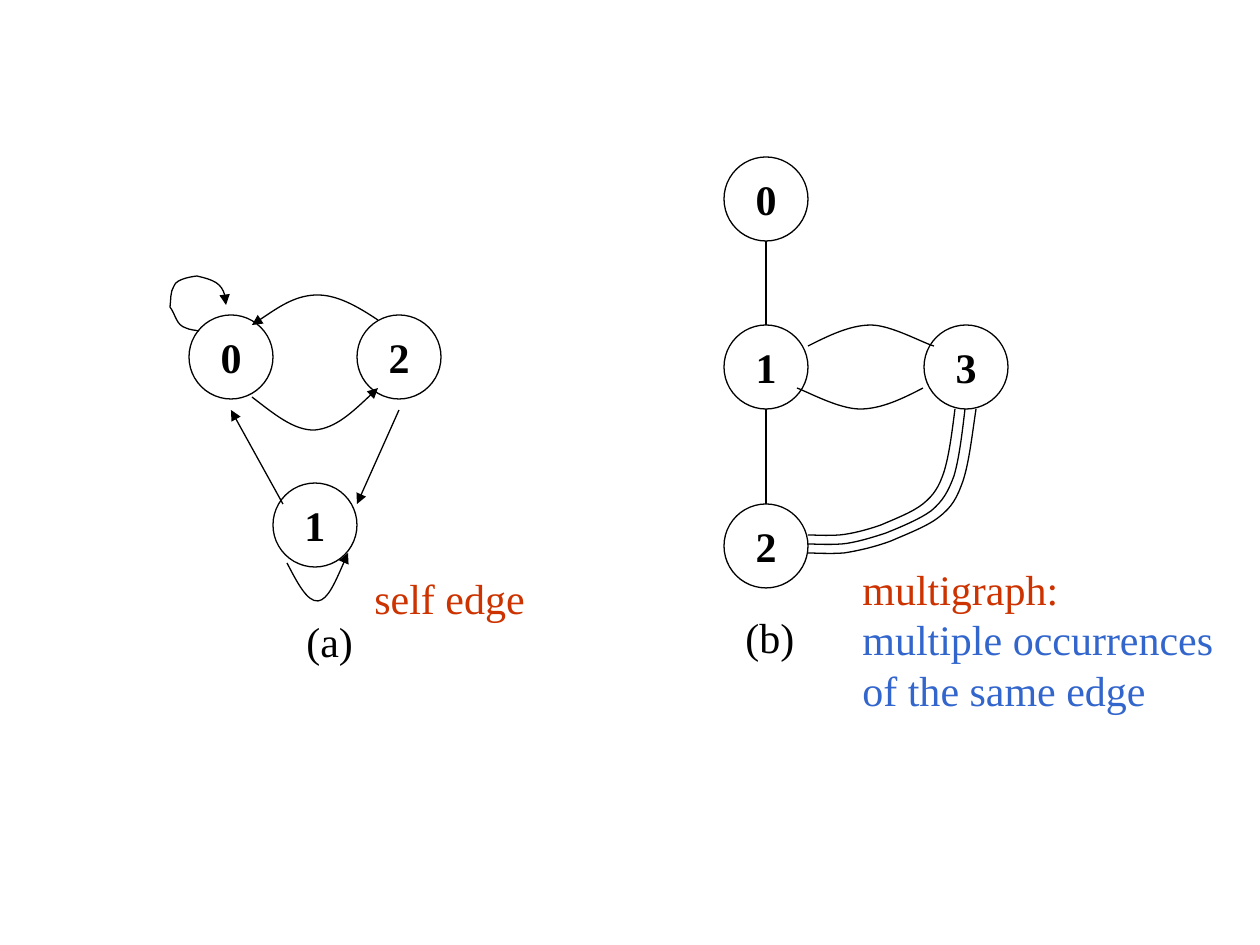
import pptx
import pptx.dml.color
import pptx.enum.shapes
import pptx.enum.text
import pptx.oxml
import pptx.oxml.ns
import pptx.util

EMU_PER_PX = 914400 / 126
NODE_SIZE = 84
FONT_NAME = "Times New Roman"
FONT_SIZE = pptx.util.Pt(24)
LINE_WIDTH = pptx.util.Pt(0.75)
BLACK = pptx.dml.color.RGBColor(0x00, 0x00, 0x00)
RED = pptx.dml.color.RGBColor(0xCC, 0x33, 0x00)
BLUE = pptx.dml.color.RGBColor(0x33, 0x66, 0xCC)


def px(length):
    return pptx.util.Emu(round(length * EMU_PER_PX))


def drawing_element(tag):
    return pptx.oxml.parse_xml(f"<a:{tag} {pptx.oxml.ns.nsdecls('a')}/>")


def style_line(shape, arrow=False):
    shape.line.color.rgb = BLACK
    shape.line.width = LINE_WIDTH
    if arrow:
        arrowhead = drawing_element("tailEnd")
        arrowhead.set("type", "triangle")
        shape.element.spPr.get_or_add_ln().append(arrowhead)


def add_run(paragraph, text, color, bold=False):
    run = paragraph.add_run()
    run.text = text
    run.font.name = FONT_NAME
    run.font.size = FONT_SIZE
    run.font.bold = bold
    run.font.color.rgb = color


def add_node(slide, left, top, text):
    node = slide.shapes.add_shape(
        pptx.enum.shapes.MSO_SHAPE.OVAL, px(left), px(top), px(NODE_SIZE), px(NODE_SIZE))
    node.shadow.inherit = False
    node.fill.background()
    style_line(node)
    node.text_frame.word_wrap = False
    node.text_frame.vertical_anchor = pptx.enum.text.MSO_ANCHOR.MIDDLE
    paragraph = node.text_frame.paragraphs[0]
    paragraph.alignment = pptx.enum.text.PP_ALIGN.CENTER
    add_run(paragraph, text, BLACK, bold=True)


def add_straight_edge(slide, left, top, start, end, arrow=False):
    edge = slide.shapes.add_connector(
        pptx.enum.shapes.MSO_CONNECTOR.STRAIGHT,
        px(left + start[0]), px(top + start[1]), px(left + end[0]), px(top + end[1]))
    style_line(edge, arrow)
    edge.element.spPr.append(drawing_element("effectLst"))


def add_curved_edge(slide, left, top, points, arrow=False):
    """Draw cubic curves: a start point, then two handles and an end for each curve."""
    builder = slide.shapes.build_freeform(*points[0], scale=EMU_PER_PX)
    builder.add_line_segments(points[1:], close=False)
    edge = builder.convert_to_shape(px(left), px(top))
    edge.shadow.inherit = False
    edge.fill.background()
    style_line(edge, arrow)
    segments = list(edge.element.iter(pptx.oxml.ns.qn("a:lnTo")))
    for first in range(0, len(segments), 3):
        curve = drawing_element("cubicBezTo")
        segments[first].addprevious(curve)
        for segment in segments[first:first + 3]:
            curve.append(segment[0])
            segment.getparent().remove(segment)


def add_label(slide, left, top, width, height, lines):
    label = slide.shapes.add_textbox(px(left), px(top), px(width), px(height))
    frame = label.text_frame
    frame.word_wrap = False
    frame.vertical_anchor = pptx.enum.text.MSO_ANCHOR.MIDDLE
    for index, (text, color) in enumerate(lines):
        paragraph = frame.add_paragraph() if index else frame.paragraphs[0]
        add_run(paragraph, text, color)


def add_self_edge_graph(slide, left, top):
    for x, y, text in [(21, 42, "0"), (189, 42, "2"), (105, 210, "1")]:
        add_node(slide, left + x, top + y, text)

    for start, end in [((115, 231), (63, 137)), ((231, 137), (189, 231))]:
        add_straight_edge(slide, left, top, start, end, arrow=True)

    loop_at_0 = [(31, 58), (27, 57), (22, 57), (18, 55), (8, 52), (8, 42), (2, 34),
                 (3, 27), (2, 19), (6, 13), (8, 5), (29, 3), (29, 3),
                 (46, 7), (58, 12), (58, 32)]
    from_2_to_0 = [(210, 47), (189, 33), (168, 21), (147, 22),
                   (126, 23), (105, 38), (84, 52)]
    from_0_to_2 = [(84, 124), (105, 140), (126, 158), (147, 157),
                   (168, 155), (189, 135), (210, 115)]
    loop_at_1 = [(119, 290), (129, 309), (139, 329), (150, 328),
                 (160, 327), (170, 303), (180, 280)]
    for points in (loop_at_0, from_2_to_0, from_0_to_2, loop_at_1):
        add_curved_edge(slide, left, top, points, arrow=True)

    add_label(slide, left + 126, top + 336, 76, 63, [("(a)", BLACK)])
    add_label(slide, left + 194, top + 293, 185, 63, [("self edge", RED)])


def add_multigraph(slide, left, top):
    column = [0, 168, 347]
    for number, y in enumerate(column):
        add_node(slide, left, top + y, str(number))
    add_node(slide, left + 200, top + column[1], "3")

    middle = NODE_SIZE // 2
    for upper, lower in zip(column, column[1:]):
        add_straight_edge(slide, left, top, (middle, upper + NODE_SIZE), (middle, lower))

    upper_edge = [(84, 189), (104, 179), (126, 168), (147, 168),
                  (167, 168), (199, 186), (210, 189)]
    lower_edge = [(199, 231), (178, 242), (157, 252), (136, 252),
                  (115, 252), (84, 235), (73, 231)]
    for points in (upper_edge, lower_edge):
        add_curved_edge(slide, left, top, points)

    from_3_to_2 = [(147, 0), (144, 24), (141, 47), (136, 63), (131, 78), (126, 86),
                   (115, 95), (105, 103), (87, 110), (73, 116), (59, 121), (43, 125),
                   (32, 126), (19, 127), (5, 126), (0, 126)]
    for spread in (1, 1.07, 1.14):
        points = [(x * spread, y * spread) for x, y in from_3_to_2]
        add_curved_edge(slide, left + NODE_SIZE, top + column[1] + NODE_SIZE, points)

    add_label(slide, left + 9, top + 448, 78, 63, [("(b)", BLACK)])
    add_label(slide, left + 126, top + 400, 390, 164, [
        ("multigraph:", RED), ("multiple occurrences", BLUE), ("of the same edge", BLUE)])


def main():
    presentation = pptx.Presentation()
    presentation.slide_width = px(1260)
    presentation.slide_height = px(945)
    slide = presentation.slides.add_slide(presentation.slide_layouts[6])
    add_self_edge_graph(slide, 168, 273)
    add_multigraph(slide, 724, 157)
    presentation.save("out.pptx")


if __name__ == "__main__":
    main()
